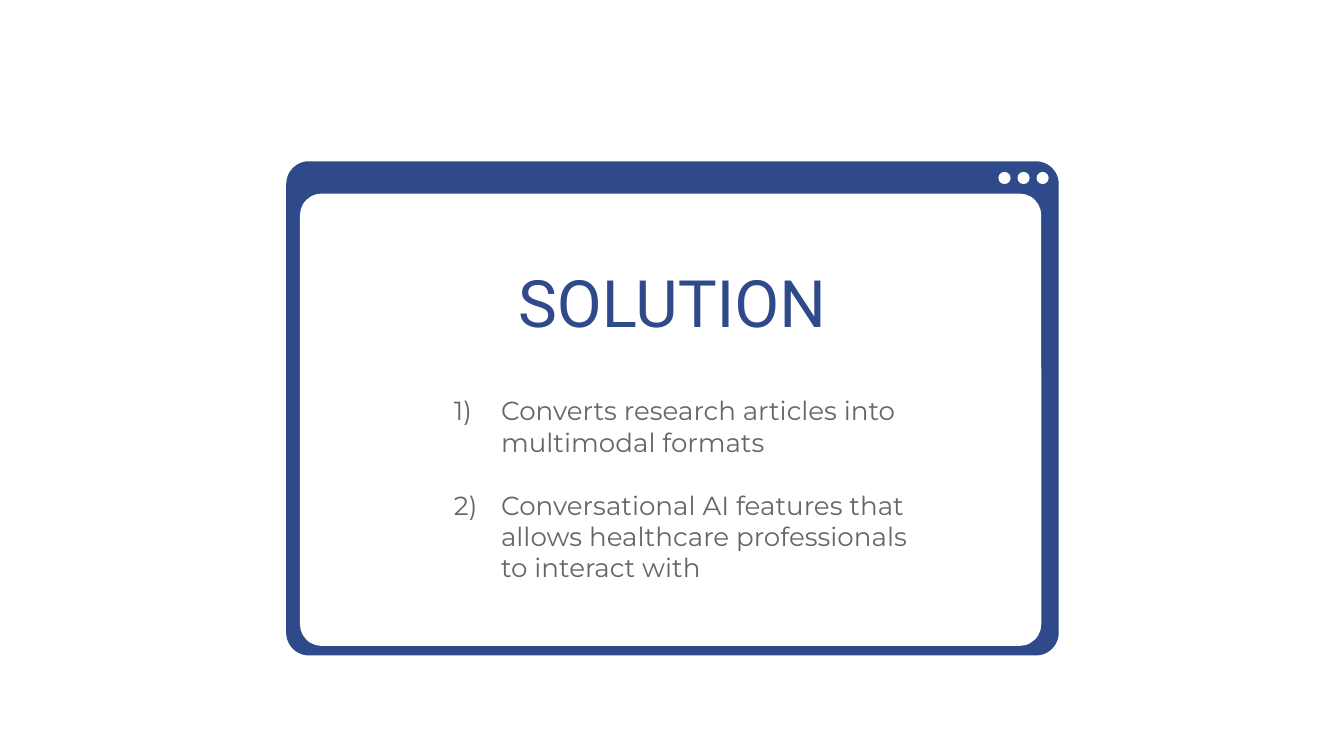
from dataclasses import dataclass

import pptx
import pptx.dml.color
import pptx.enum.shapes
import pptx.enum.text
import pptx.oxml
import pptx.oxml.ns
import pptx.util
from pptx.dml.color import RGBColor
from pptx.util import Cm

BLUE = RGBColor(0x2F, 0x4A, 0x8A)
WHITE = RGBColor(0xFF, 0xFF, 0xFF)
GREY = RGBColor(0x66, 0x66, 0x66)

SHAPE = pptx.enum.shapes.MSO_SHAPE
ANCHOR = pptx.enum.text.MSO_ANCHOR
ALIGN = pptx.enum.text.PP_ALIGN


@dataclass(frozen=True)
class Area:
    """A rectangle on the page, in centimetres."""
    left: float
    top: float
    width: float
    height: float

    def lengths(self) -> tuple:
        return Cm(self.left), Cm(self.top), Cm(self.width), Cm(self.height)


@dataclass(frozen=True)
class Panel:
    area: Area
    color: RGBColor
    rounding: float


WINDOW = (
    Panel(Area(5.41, 3.05, 14.6, 9.34), BLUE, 0.046),
    Panel(Area(5.67, 3.66, 14.01, 8.55), WHITE, 0.048),
)
DOT_SIZE = 0.23
DOT_LEFT, DOT_TOP, DOT_STEP = 18.87, 3.25, 0.36

TITLE_AREA = Area(6.81, 4.32, 11.79, 2.36)
LIST_AREA = Area(7.95, 7.21, 9.5, 4.14)
SOLUTIONS = (
    "Converts research articles into multimodal formats",
    "Conversational AI features that allows healthcare professionals to interact with",
)


def draw_shape(page, kind, area: Area, color: RGBColor):
    shape = page.shapes.add_shape(kind, *area.lengths())
    shape.shadow.inherit = False
    shape.fill.solid()
    shape.fill.fore_color.rgb = color
    shape.line.fill.background()
    return shape


def add_text_frame(page, area: Area, anchor):
    frame = page.shapes.add_textbox(*area.lengths()).text_frame
    frame.word_wrap = True
    frame.vertical_anchor = anchor
    frame.margin_left = frame.margin_right = Cm(0.25)
    frame.margin_top = frame.margin_bottom = Cm(0.25)
    return frame


def set_font(para, name: str, size: float, color: RGBColor) -> None:
    para.font.name = name
    para.font.size = pptx.util.Pt(size)
    para.font.color.rgb = color


def number_paragraph(para, color: RGBColor) -> None:
    """Give the paragraph a hanging 1), 2), ... number."""
    properties = para._p.get_or_add_pPr()
    properties.set("marL", str(Cm(1.27)))
    properties.set("indent", str(-Cm(0.89)))
    namespace = pptx.oxml.ns.nsdecls("a")
    for xml in (
        f'<a:buClr {namespace}><a:srgbClr val="{color}"/></a:buClr>',
        f'<a:buFont {namespace} typeface="Montserrat"/>',
        f'<a:buAutoNum {namespace} type="arabicParenR"/>',
    ):
        properties.append(pptx.oxml.parse_xml(xml))


def main() -> None:
    deck = pptx.Presentation()
    deck.slide_width, deck.slide_height = Cm(25.4), Cm(14.29)
    page = deck.slides.add_slide(deck.slide_layouts[6])

    # Browser window with its three buttons
    for panel in WINDOW:
        shape = draw_shape(page, SHAPE.ROUNDED_RECTANGLE, panel.area, panel.color)
        shape.adjustments[0] = panel.rounding
    for index in range(3):
        dot = Area(DOT_LEFT + index * DOT_STEP, DOT_TOP, DOT_SIZE, DOT_SIZE)
        draw_shape(page, SHAPE.OVAL, dot, WHITE)

    # Title
    title = add_text_frame(page, TITLE_AREA, ANCHOR.BOTTOM).paragraphs[0]
    title.text = "SOLUTION"
    title.alignment = ALIGN.CENTER
    set_font(title, "Roboto", 35, BLUE)

    # Numbered list
    frame = add_text_frame(page, LIST_AREA, ANCHOR.TOP)
    for index, solution in enumerate(SOLUTIONS):
        para = frame.add_paragraph() if index else frame.paragraphs[0]
        para.text = solution
        number_paragraph(para, GREY)
        para.alignment = ALIGN.LEFT
        if index:
            para.space_before = pptx.util.Pt(17)
        set_font(para, "Montserrat", 14, GREY)

    deck.save("out.pptx")


if __name__ == "__main__":
    main()
